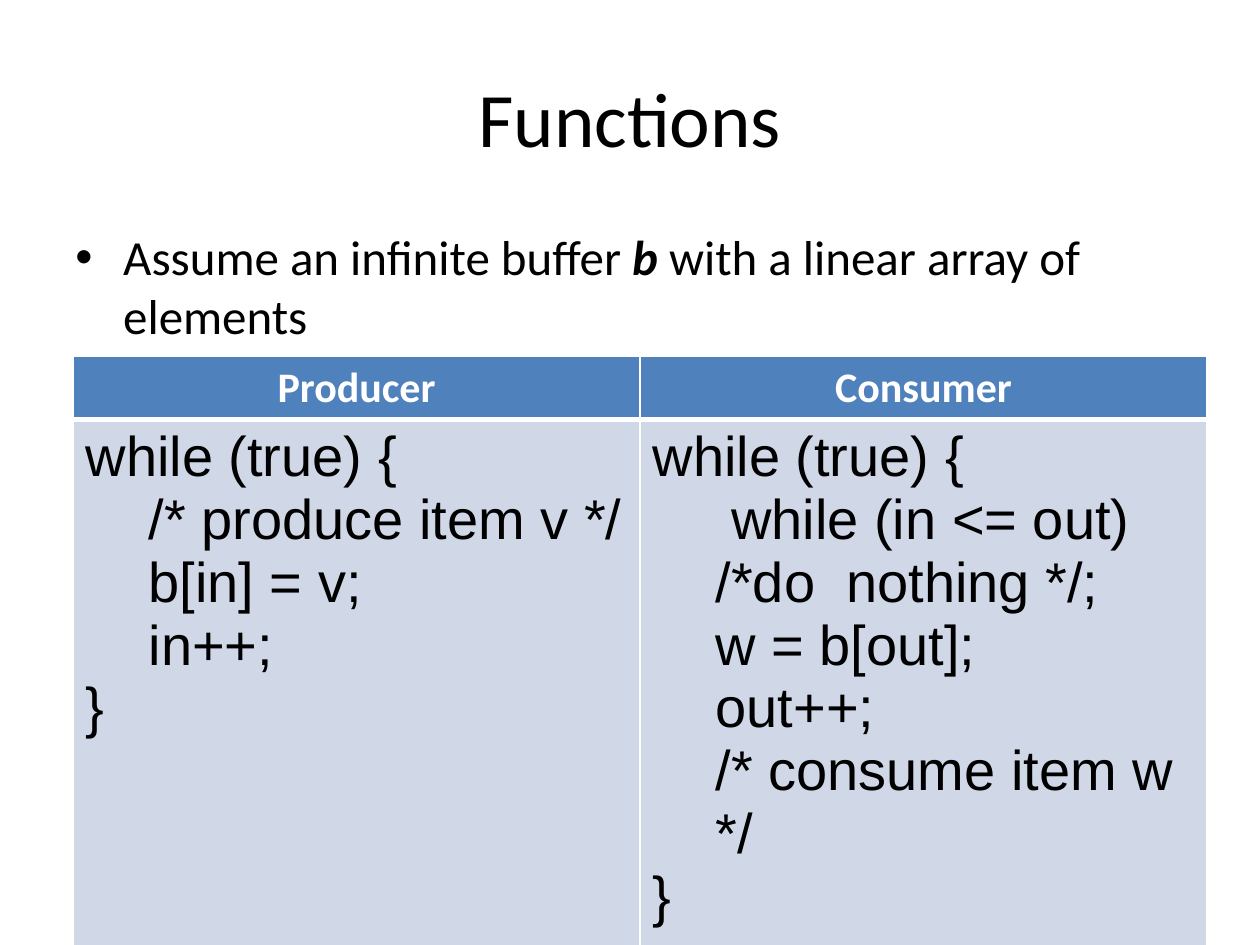
from lxml import etree
from pptx import Presentation
from pptx.dml.color import RGBColor
from pptx.enum.text import MSO_ANCHOR, PP_ALIGN
from pptx.oxml.ns import qn
from pptx.util import Pt

CENTER, LEFT = PP_ALIGN.CENTER, PP_ALIGN.LEFT
MIDDLE, TOP = MSO_ANCHOR.MIDDLE, MSO_ANCHOR.TOP
PX = 9144  # 100 px to the inch
BLACK, WHITE, BLUE, PALE = "000000", "FFFFFF", "4F81BD", "D0D8E8"

# Each code line is an indent level and its text
PRODUCER = [
    (0, "while (true) {"),
    (1, "/* produce item v */"),
    (1, "b[in] = v;"),
    (1, "in++;"),
    (0, "}"),
]
CONSUMER = [
    (0, "while (true) {"),
    (1, " while (in <= out)"),
    (1, "/*do  nothing */;"),
    (1, "w = b[out];"),
    (1, "out++;"),
    (1, "/* consume item w */"),
    (0, "}"),
]


def px(n):
    return int(n * PX)


def color(code):
    return RGBColor.from_string(code)


def add_run(para, text, size, font="Calibri", tint=BLACK, bold=False, italic=False):
    run = para.add_run()
    run.text = text
    face = run.font
    face.name, face.size = font, Pt(size)
    face.bold, face.italic = bold, italic
    face.color.rgb = color(tint)


def indent(para, left, first=0):
    props = para._p.get_or_add_pPr()
    props.set("marL", str(px(left)))
    props.set("indent", str(px(first)))
    return props


def add_bullet(para):
    props = indent(para, 38, -38)
    tint = etree.SubElement(props, qn("a:buClr"))
    etree.SubElement(tint, qn("a:srgbClr"), val=BLACK)
    etree.SubElement(props, qn("a:buFont"), typeface="Arial")
    etree.SubElement(props, qn("a:buChar"), char="•")


def add_box(slide, box, anchor):
    """Add a wrapping text box and return its text frame."""
    frame = slide.shapes.add_textbox(*map(px, box)).text_frame
    frame.word_wrap = True
    frame.vertical_anchor = anchor
    return frame


def add_title(slide, box):
    para = add_box(slide, box, MIDDLE).paragraphs[0]
    para.alignment = CENTER
    add_run(para, "Functions", 44)


def add_intro(slide, box):
    para = add_box(slide, box, TOP).paragraphs[0]
    add_bullet(para)
    add_run(para, "Assume an infinite buffer ", 28)
    add_run(para, "b ", 28, bold=True, italic=True)
    add_run(para, "with a linear array of elements", 28)


def style_cell(cell, fill, top, bottom):
    """Fill the cell and draw white borders of the given widths."""
    cell.fill.solid()
    cell.fill.fore_color.rgb = color(fill)
    props = cell._tc.get_or_add_tcPr()
    sides = (("L", 1), ("R", 1), ("T", top), ("B", bottom))
    for spot, (side, width) in enumerate(sides):
        line = etree.Element(qn(f"a:ln{side}"), w=str(Pt(width)))
        paint = etree.SubElement(line, qn("a:solidFill"))
        etree.SubElement(paint, qn("a:srgbClr"), val=WHITE)
        props.insert(spot, line)


def add_code(frame, lines):
    for i, (level, text) in enumerate(lines):
        para = frame.add_paragraph() if i else frame.paragraphs[0]
        para.alignment = LEFT
        para.level = level
        indent(para, 50 * level)
        add_run(para, text, 32, "Arial")


def add_loops(slide, box, head):
    """Add the table of code loops, with a header row of height head."""
    table = slide.shapes.add_table(2, 2, *map(px, box)).table
    table.rows[0].height = px(head)
    table.rows[1].height = px(box[3] - head)
    loops = (("Producer", PRODUCER), ("Consumer", CONSUMER))
    for col, (name, lines) in enumerate(loops):
        table.columns[col].width = px(box[2] / len(loops))
        top, body = table.cell(0, col), table.cell(1, col)
        style_cell(top, BLUE, 1, 3)
        style_cell(body, PALE, 3, 1)
        para = top.text_frame.paragraphs[0]
        para.alignment = CENTER
        add_run(para, name, 24, tint=WHITE, bold=True)
        add_code(body.text_frame, lines)


def main():
    deck = Presentation()
    deck.slide_width, deck.slide_height = px(1000), px(750)
    slide = deck.slides.add_slide(deck.slide_layouts[6])
    add_title(slide, (50, 30, 900, 125))
    add_loops(slide, (58, 283, 900, 433), 50)
    add_intro(slide, (50, 175, 900, 108))
    deck.save("out.pptx")


if __name__ == "__main__":
    main()
